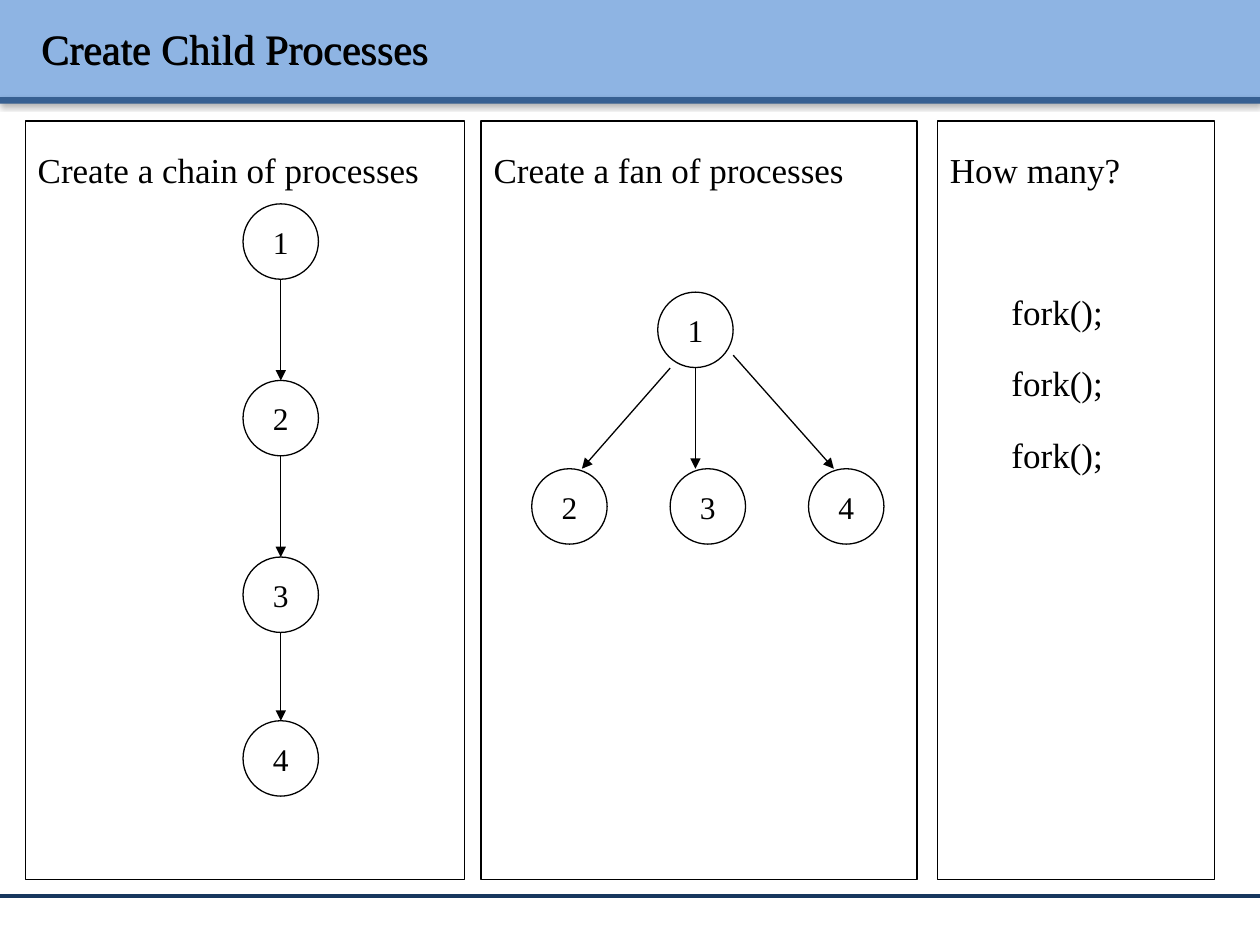
from lxml import etree
from pptx import Presentation
from pptx.dml.color import RGBColor
from pptx.enum.shapes import MSO_CONNECTOR, MSO_SHAPE
from pptx.enum.text import MSO_ANCHOR, PP_ALIGN
from pptx.oxml.ns import qn
from pptx.util import Cm, Pt

RECT, OVAL = MSO_SHAPE.RECTANGLE, MSO_SHAPE.OVAL
LINE = MSO_CONNECTOR.STRAIGHT
TOP, MID = MSO_ANCHOR.TOP, MSO_ANCHOR.MIDDLE
LEFT, MIDST = PP_ALIGN.LEFT, PP_ALIGN.CENTER

THEME = {
    "font": "Times New Roman",
    "ink": RGBColor.from_string("000000"),
    "band": RGBColor.from_string("8EB4E3"),
    "edge": RGBColor.from_string("376092"),
    "foot": RGBColor.from_string("17375E"),
    "title": Pt(24),
    "body": Pt(20),
    "node": Pt(18),
    "thin": Pt(0.75),
    "thick": Pt(2),
}


def write(frame, rows, size, side, anchor, **gaps):
    form = {"word_wrap": True, "vertical_anchor": anchor,
            "margin_left": Cm(0.25), "margin_right": Cm(0.25),
            "margin_top": Cm(0.13), "margin_bottom": Cm(0.13)}
    for key, value in form.items():
        setattr(frame, key, value)
    for num, row in enumerate(rows):
        para = frame.paragraphs[0] if num == 0 else frame.add_paragraph()
        for key, value in {"alignment": side, **gaps}.items():
            setattr(para, key, value)
        run = para.add_run()
        run.text = row
        for key, value in {"name": THEME["font"], "size": size}.items():
            setattr(run.font, key, value)
        run.font.color.rgb = THEME["ink"]


def shade(shape, alpha, blur, dist, angle):
    props = shape._element.spPr
    for old in props.findall(qn("a:effectLst")):
        props.remove(old)
    cast = etree.SubElement(
        etree.SubElement(props, qn("a:effectLst")), qn("a:outerShdw"),
        blurRad=str(Pt(blur)), dist=str(Pt(dist)), dir=str(angle * 60000),
        algn="tl", rotWithShape="0")
    tint = etree.SubElement(cast, qn("a:srgbClr"), val=str(THEME["ink"]))
    etree.SubElement(tint, qn("a:alpha"), val=str(alpha * 1000))


deck = Presentation()
deck.slide_width, deck.slide_height = Cm(25.4), Cm(19.05)
shapes = deck.slides.add_slide(deck.slide_layouts[6]).shapes

for top, high, tone in [(0, 1.96, "band"), (1.96, 0.13, "edge")]:
    bar = shapes.add_shape(RECT, Cm(0), Cm(top), Cm(25.4), Cm(high))
    bar.fill.solid()
    bar.fill.fore_color.rgb = THEME[tone]
    bar.line.fill.background()
    shade(bar, 38, 3.1, 1.6, 90)

title = shapes.add_textbox(Cm(0.58), Cm(0.15), Cm(24.41), Cm(1.63))
write(title.text_frame, ["Create Child Processes"], THEME["title"], LEFT, MID)
shade(title, 100, 0, 0.8, 45)

panels = [
    (0.51, 8.86, ["Create a chain of processes"]),
    (9.7, 8.79, ["Create a fan of processes"]),
    (18.9, 5.59, ["How many?"] + ["fork();"] * 3),
]
for left, wide, rows in panels:
    panel = shapes.add_shape(RECT, Cm(left), Cm(2.44), Cm(wide), Cm(15.29))
    panel.shadow.inherit = False
    panel.fill.background()
    panel.line.color.rgb, panel.line.width = THEME["ink"], THEME["thin"]
    write(panel.text_frame, rows, THEME["body"], LEFT, TOP,
          line_spacing=1.5, space_before=Pt(5))
    calls = panel.text_frame.paragraphs[1:]
    for call in calls:
        call._p.get_or_add_pPr().set("marL", str(Cm(1.24)))
    if calls:
        calls[0].space_before = Pt(45)

SIZE = 1.52
chain = [(4.9, top) for top in (4.11, 7.67, 11.23, 14.53)]
fan = [(13.26, 5.89)] + [(10.72 + 2.79 * num, 9.45) for num in range(3)]
for group in (chain, fan):
    for num, (left, top) in enumerate(group, 1):
        node = shapes.add_shape(OVAL, Cm(left), Cm(top), Cm(SIZE), Cm(SIZE))
        node.shadow.inherit = False
        node.fill.background()
        node.line.color.rgb, node.line.width = THEME["ink"], THEME["thin"]
        write(node.text_frame, [str(num)], THEME["node"], MIDST, MID)
        node.text_frame.word_wrap = False

mid = 4.9 + SIZE / 2
links = [(mid, start[1] + SIZE, mid, end[1])
         for start, end in zip(chain, chain[1:])]
links += [(13.51, 7.42, 11.73, 9.45), (14.02, 7.42, 14.02, 9.45),
          (14.78, 7.16, 16.81, 9.45)]
lines = [(ends, "ink", "thin", True) for ends in links]
lines.append(((0, 18.06, 25.4, 18.06), "foot", "thick", False))
for ends, tone, width, arrow in lines:
    link = shapes.add_connector(LINE, *[Cm(end) for end in ends])
    link.line.color.rgb, link.line.width = THEME[tone], THEME[width]
    if arrow:
        etree.SubElement(link.line._get_or_add_ln(), qn("a:tailEnd"),
                         type="triangle")
    etree.SubElement(link._element.spPr, qn("a:effectLst"))

deck.save("out.pptx")
